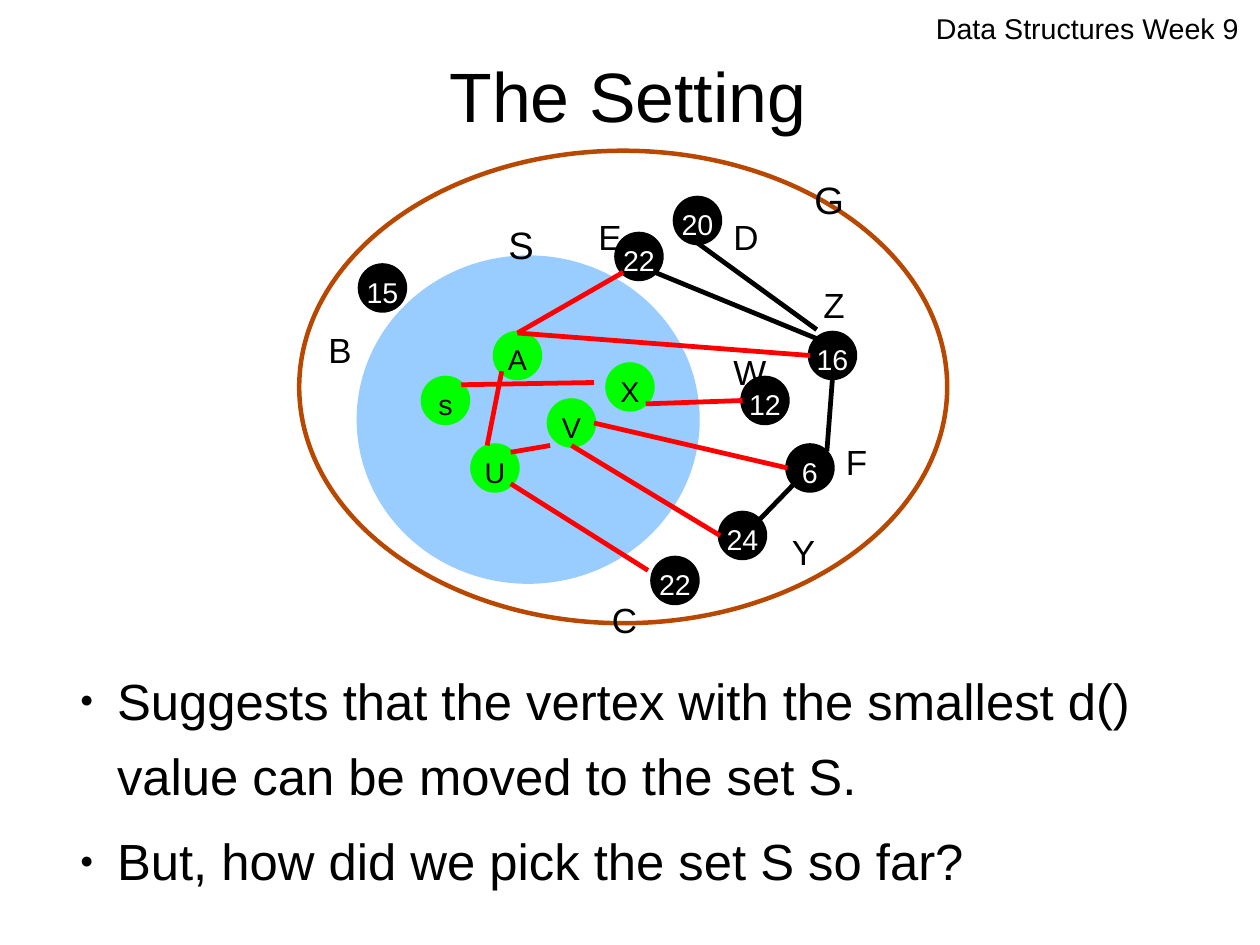
from dataclasses import dataclass

from lxml import etree
from pptx import Presentation
from pptx.dml.color import RGBColor
from pptx.enum.shapes import MSO_CONNECTOR, MSO_SHAPE
from pptx.enum.text import MSO_ANCHOR, PP_ALIGN
from pptx.oxml.ns import qn
from pptx.util import Emu, Pt

ELLIPSE = MSO_SHAPE.OVAL
STRAIGHT = MSO_CONNECTOR.STRAIGHT
TOP, MIDDLE = MSO_ANCHOR.TOP, MSO_ANCHOR.MIDDLE
LEFT, CENTER = PP_ALIGN.LEFT, PP_ALIGN.CENTER

EMU_PER_PX = 9000
NODE_SIZE = 40
BLACK, WHITE, RED, GREEN = "000000", "FFFFFF", "FF0000", "00FF00"
SKY, RUST = "99CCFF", "B84700"


@dataclass(frozen=True)
class Box:
    left: int
    top: int
    width: int
    height: int


@dataclass(frozen=True)
class Node:
    text: str
    left: int
    top: int
    fill: str = BLACK
    ink: str = WHITE


@dataclass(frozen=True)
class Label:
    text: str
    box: Box
    size: int = 22


@dataclass(frozen=True)
class Edge:
    x1: int
    y1: int
    x2: int
    y2: int
    color: str = RED


NODES = [
    Node("12", 660, 336),
    Node("6", 700, 396),
    Node("16", 720, 296),
    Node("15", 320, 236),
    Node("22", 548, 208),
    Node("22", 580, 496),
    Node("20", 600, 176),
    Node("24", 640, 456),
    Node("s", 376, 336, GREEN, BLACK),
    Node("U", 420, 396, GREEN, BLACK),
    Node("A", 440, 296, GREEN, BLACK),
    Node("V", 488, 356, GREEN, BLACK),
    Node("X", 540, 324, GREEN, BLACK),
]
LABELS = [
    Label("S", Box(440, 180, 60, 64), 24),
    Label("G", Box(712, 140, 60, 64), 24),
    Label("B", Box(280, 276, 60, 60)),
    Label("C", Box(532, 516, 48, 60)),
    Label("E", Box(520, 176, 48, 80)),
    Label("D", Box(640, 176, 48, 60)),
    Label("Z", Box(720, 236, 60, 60)),
    Label("Y", Box(692, 456, 48, 60)),
    Label("F", Box(740, 376, 48, 60)),
    Label("W", Box(640, 296, 68, 60)),
]
EDGES = [
    Edge(460, 296, 554, 242),
    Edge(460, 296, 720, 316),
    Edge(574, 359, 660, 356),
    Edge(508, 396, 640, 476),
    Edge(454, 430, 576, 507),
    Edge(528, 376, 700, 416),
    Edge(433, 396, 446, 330),
    Edge(410, 342, 528, 340),
    Edge(454, 402, 489, 396),
    Edge(582, 242, 726, 301, BLACK),
    Edge(620, 216, 726, 293, BLACK),
    Edge(675, 462, 706, 430, BLACK),
    Edge(740, 336, 735, 401, BLACK),
]
POINTS = [
    "Suggests that the vertex with the smallest d() value can be moved to the set S.",
    "But, how did we pick the set S so far?",
]


def px(length: int) -> Emu:
    return Emu(length * EMU_PER_PX)


def rgb(color: str) -> RGBColor:
    return RGBColor.from_string(color)


def place(box: Box) -> tuple[Emu, Emu, Emu, Emu]:
    return px(box.left), px(box.top), px(box.width), px(box.height)


def set_frame(frame, across: int, down: int, anchor, wrap: bool = True) -> None:
    frame.margin_left = frame.margin_right = px(across)
    frame.margin_top = frame.margin_bottom = px(down)
    frame.vertical_anchor = anchor
    frame.word_wrap = wrap


def style_paragraph(paragraph, size: int, color: str = BLACK, align=LEFT, spacing: float = 1.24) -> None:
    paragraph.alignment = align
    paragraph.line_spacing = spacing
    for run in paragraph.runs:
        run.font.name = "Arial"
        run.font.size = Pt(size)
        run.font.color.rgb = rgb(color)


def add_text(slide, text: str, box: Box, size: int, across: int = 0, down: int = 0,
             anchor=TOP, align=LEFT, spacing: float = 1.24):
    frame = slide.shapes.add_textbox(*place(box)).text_frame
    set_frame(frame, across, down, anchor)
    frame.text = text
    for paragraph in frame.paragraphs:
        style_paragraph(paragraph, size, BLACK, align, spacing)
    return frame


def add_bullet(paragraph) -> None:
    properties = paragraph._p.get_or_add_pPr()
    properties.set("marL", str(px(44)))
    properties.set("indent", str(px(-33)))
    color = etree.SubElement(properties, qn("a:buClr"))
    etree.SubElement(color, qn("a:srgbClr"), val=BLACK)
    etree.SubElement(properties, qn("a:buSzPct"), val="45000")
    etree.SubElement(properties, qn("a:buFont"), typeface="Arial")
    etree.SubElement(properties, qn("a:buChar"), char="●")


def add_ellipse(slide, box: Box, outline: str, fill: str | None = None):
    ellipse = slide.shapes.add_shape(ELLIPSE, *place(box))
    ellipse.shadow.inherit = False
    if fill is None:
        ellipse.fill.background()
    else:
        ellipse.fill.solid()
        ellipse.fill.fore_color.rgb = rgb(fill)
    ellipse.line.color.rgb = rgb(outline)
    ellipse.line.width = Pt(2.83)
    return ellipse


def add_node(slide, node: Node) -> None:
    box = Box(node.left, node.top, NODE_SIZE, NODE_SIZE)
    frame = add_ellipse(slide, box, node.fill, node.fill).text_frame
    set_frame(frame, 12, 7, MIDDLE, wrap=False)
    frame.text = node.text
    style_paragraph(frame.paragraphs[0], 18, node.ink, CENTER)


def add_edge(slide, edge: Edge) -> None:
    line = slide.shapes.add_connector(
        STRAIGHT, px(edge.x1), px(edge.y1), px(edge.x2), px(edge.y2))
    line.line.color.rgb = rgb(edge.color)
    line.line.width = Pt(3)
    etree.SubElement(line._element.spPr, qn("a:effectLst"))


def main() -> None:
    deck = Presentation()
    deck.slide_width, deck.slide_height = px(1120), px(840)
    slide = deck.slides.add_slide(deck.slide_layouts[6])

    add_text(slide, "Data Structures Week 9", Box(832, 10, 275, 34), 18, spacing=1.0)
    add_text(slide, "The Setting", Box(56, 29, 1005, 92), 44, anchor=MIDDLE, align=CENTER)
    remarks = add_text(slide, "\n".join(POINTS), Box(60, 582, 1005, 226), 32)
    for paragraph in remarks.paragraphs:
        paragraph.space_after = Pt(5.8)
        add_bullet(paragraph)

    add_ellipse(slide, Box(319, 229, 301, 288), SKY, SKY)
    add_ellipse(slide, Box(266, 134, 576, 420), RUST)
    for node in NODES:
        add_node(slide, node)
    for label in LABELS:
        add_text(slide, label.text, label.box, label.size, 12, 7)
    for edge in EDGES:
        add_edge(slide, edge)

    deck.save("out.pptx")


if __name__ == "__main__":
    main()
